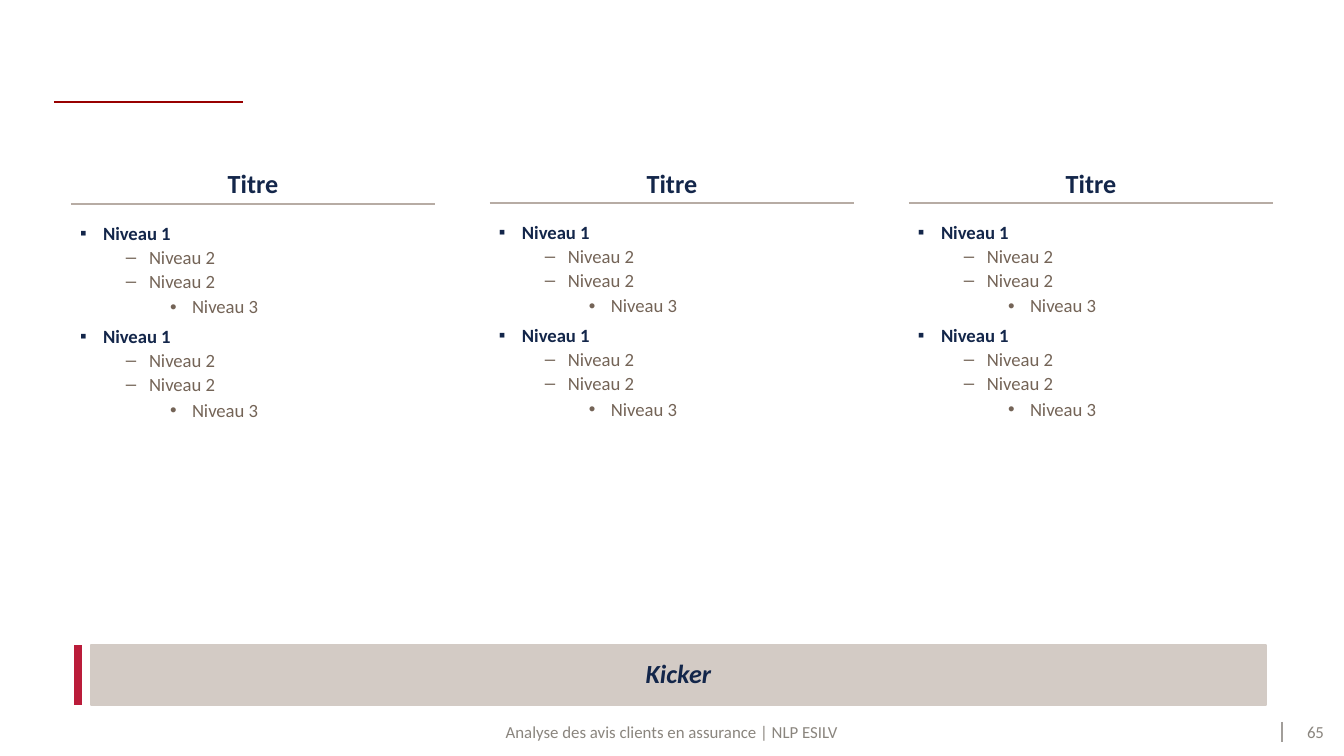
"""Build a three-column list slide with a kicker band and a footer."""
from dataclasses import dataclass

from lxml import etree
from pptx import Presentation
from pptx import util as u
from pptx.dml.color import RGBColor
from pptx.enum import shapes, text
from pptx.oxml import ns

LEVELS = [0, 1, 1, 2, 0, 1, 1, 2]
COLUMNS = [
    {"title": "Titre", "levels": LEVELS, "drop": 1},
    {"title": "Titre", "levels": LEVELS, "drop": 0},
    {"title": "Titre", "levels": LEVELS, "drop": 0},
]
KICKER = "Kicker"
FOOTER = "Analyse des avis clients en assurance | NLP ESILV"
PAGE_NUMBER = "65"


@dataclass(frozen=True)
class Theme:
    font: str = "Calibri"
    navy: str = "13264A"
    brown: str = "746457"
    footer: str = "8A857E"
    separator: str = "A29E9A"
    accent: str = "980000"
    red: str = "BA1C3A"
    band: str = "D3CBC5"
    rule: str = "B7ACA4"
    heading_size: int = 14
    list_size: int = 10
    footer_size: int = 9


THEME = Theme()
LEVEL_STYLES = [
    {"bullet": "▪", "left": 23, "hang": 23, "before": 5, "color": THEME.navy, "bold": True},
    {"bullet": "–", "left": 69, "hang": 23, "before": 2, "color": THEME.brown, "bold": False},
    {"bullet": "•", "left": 112, "hang": 22, "before": 3, "color": THEME.brown, "bold": False},
]
SLIDE_WIDTH, SLIDE_HEIGHT = 1344, 756
COLUMN_LEFT, COLUMN_PITCH, COLUMN_WIDTH = 71, 419, 364
HEADING_TOP, HEADING_HEIGHT = 169, 34
RULE_TOP, LIST_TOP, LIST_HEIGHT = 203, 214, 372
FOOTER_TOP, FOOTER_HEIGHT = 719, 28
KICKER_TOP, KICKER_HEIGHT = 645, 60


def px(length):
    return u.Emu(round(length * 914400 / 134.4))


def style_paragraph(paragraph, size, color, bold=False, italic=False,
                    align=text.PP_ALIGN.CENTER, before=0):
    paragraph.alignment = align
    paragraph.line_spacing = 0.9
    paragraph.space_before = u.Pt(before)
    font = paragraph.font
    font.name, font.size = THEME.font, u.Pt(size)
    font.bold, font.italic = bold, italic
    font.color.rgb = RGBColor.from_string(color)


def set_frame(frame, anchor, horizontal, vertical):
    frame.word_wrap = True
    frame.auto_size = text.MSO_AUTO_SIZE.NONE
    frame.vertical_anchor = anchor
    frame.margin_left = frame.margin_right = px(horizontal)
    frame.margin_top = frame.margin_bottom = px(vertical)


def add_label(slide, box, words, size, color, anchor, inset, bold=False):
    frame = slide.shapes.add_textbox(*map(px, box)).text_frame
    set_frame(frame, anchor, inset, 4)
    frame.text = words
    style_paragraph(frame.paragraphs[0], size, color, bold)


def add_line(slide, start, end, color, width):
    line = slide.shapes.add_connector(
        shapes.MSO_CONNECTOR.STRAIGHT, *map(px, (*start, *end)))
    line.line.color.rgb = RGBColor.from_string(color)
    line.line.width = u.Pt(width)
    etree.SubElement(line._element.spPr, ns.qn("a:effectLst"))


def add_bullet(paragraph, style):
    properties = paragraph._p.get_or_add_pPr()
    properties.set("marL", str(px(style["left"])))
    properties.set("indent", str(-px(style["hang"])))
    bullet_color = etree.SubElement(properties, ns.qn("a:buClr"))
    etree.SubElement(bullet_color, ns.qn("a:srgbClr"), val=style["color"])
    etree.SubElement(properties, ns.qn("a:buFont"), typeface="Arial")
    etree.SubElement(properties, ns.qn("a:buChar"), char=style["bullet"])


def fill_list(placeholder, box, levels):
    placeholder.left, placeholder.top, placeholder.width, placeholder.height = map(px, box)
    frame = placeholder.text_frame
    set_frame(frame, text.MSO_ANCHOR.TOP, 9, 9)
    frame.text = "\n".join(f"Niveau {level + 1}" for level in levels)
    for index, (paragraph, level) in enumerate(zip(frame.paragraphs, levels)):
        style = LEVEL_STYLES[level]
        paragraph.level = level
        add_bullet(paragraph, style)
        style_paragraph(paragraph, THEME.list_size, style["color"], style["bold"],
                        align=text.PP_ALIGN.LEFT, before=style["before"] if index else 0)


def add_kicker(slide):
    band = slide.shapes.add_shape(
        shapes.MSO_SHAPE.RECTANGLE, *map(px, (91, KICKER_TOP, 1175, KICKER_HEIGHT)))
    band.shadow.inherit = False
    band.fill.solid()
    band.fill.fore_color.rgb = band.line.color.rgb = RGBColor.from_string(THEME.band)
    band.line.width = u.Pt(0.75)
    set_frame(band.text_frame, text.MSO_ANCHOR.MIDDLE, 12, 6)
    band.text_frame.text = KICKER
    style_paragraph(band.text_frame.paragraphs[0], THEME.heading_size, THEME.navy,
                    bold=True, italic=True)
    add_line(slide, (78, KICKER_TOP + KICKER_HEIGHT), (78, KICKER_TOP), THEME.red, 4.5)


def add_footer(slide):
    for left, width, words in [(439, 465, FOOTER), (1296, 39, PAGE_NUMBER)]:
        add_label(slide, (left, FOOTER_TOP, width, FOOTER_HEIGHT), words,
                  THEME.footer_size, THEME.footer, text.MSO_ANCHOR.MIDDLE, 4)
    add_line(slide, (1282, 722), (1282, 742), THEME.separator, 0.75)


def main():
    presentation = Presentation()
    presentation.slide_width, presentation.slide_height = px(SLIDE_WIDTH), px(SLIDE_HEIGHT)
    slide = presentation.slides.add_slide(
        presentation.slide_layouts.get_by_name("Comparison"))
    title, *bodies = slide.placeholders
    for unused in (title, *bodies[len(COLUMNS):]):
        unused._element.getparent().remove(unused._element)

    add_line(slide, (54, 102), (243, 102), THEME.accent, 1.25)
    add_footer(slide)
    add_kicker(slide)
    for index, (column, body) in enumerate(zip(COLUMNS, bodies)):
        left = COLUMN_LEFT + index * COLUMN_PITCH
        rule_top = RULE_TOP + column["drop"]
        fill_list(body, (left, LIST_TOP + column["drop"], COLUMN_WIDTH, LIST_HEIGHT),
                  column["levels"])
        add_label(slide, (left, HEADING_TOP, COLUMN_WIDTH, HEADING_HEIGHT), column["title"],
                  THEME.heading_size, THEME.navy, text.MSO_ANCHOR.BOTTOM, 0, bold=True)
        add_line(slide, (left, rule_top), (left + COLUMN_WIDTH, rule_top), THEME.rule, 1.5)
    presentation.save("out.pptx")


if __name__ == "__main__":
    main()
